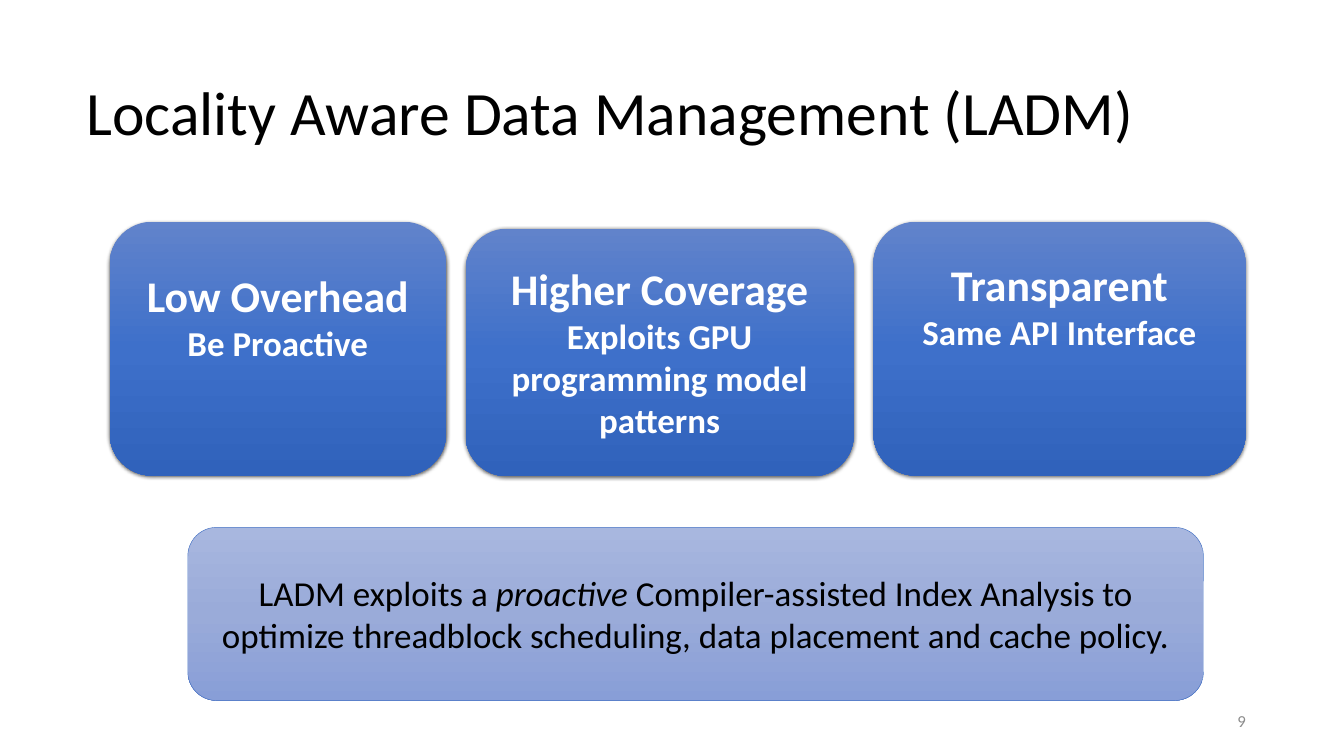
from lxml.etree import SubElement
from pptx import Presentation
from pptx.dml.color import RGBColor
from pptx.enum.shapes import MSO_SHAPE
from pptx.enum.text import MSO_ANCHOR, PP_ALIGN
from pptx.oxml.ns import qn
from pptx.util import Inches, Pt

FONT = "Calibri"
COLORS = {
    "text": "000000",
    "white": "FFFFFF",
    "gray": "8C8C8C",
    "edge": "4472C4",
    "shade": "000000",
}
CARD_FILL = ["6183CB", "3E70CA", "3062BB"]
NOTE_FILL = ["A8B7DF", "9AABD9", "889ED7"]

# Left, top, width, height, top inset, heading, detail
CARDS = [
    (1.74, 3.52, 5.34, 4.03, 0.55, "Low Overhead", "Be Proactive"),
    (7.39, 3.63, 6.16, 3.93, 0.34, "Higher Coverage",
     "Exploits GPU programming model patterns"),
    (13.86, 3.52, 5.91, 4.03, 0.38, "Transparent", "Same API Interface"),
]


def style(para, size, color, align=PP_ALIGN.CENTER, bold=False):
    para.alignment = align
    font = para.font
    font.name, font.size, font.bold = FONT, Pt(size), bold
    font.color.rgb = RGBColor.from_string(COLORS[color])


def add_label(slide, box, text, size, color, align):
    """Place one line of text, centred vertically in its box."""
    label = slide.shapes.add_textbox(*map(Inches, box))
    frame = label.text_frame
    frame.word_wrap = True
    frame.vertical_anchor = MSO_ANCHOR.MIDDLE
    para = frame.paragraphs[0]
    para.text = text
    style(para, size, color, align)
    return para


def add_panel(slide, box, fill):
    """Place a rounded panel with an even three-stop fill, top to bottom."""
    panel = slide.shapes.add_shape(MSO_SHAPE.ROUNDED_RECTANGLE, *map(Inches, box))
    panel.shadow.inherit = False
    panel.fill.gradient()
    panel.fill.gradient_angle = 270
    stops = panel._element.spPr.find(".//" + qn("a:gsLst"))
    for stop in list(stops):
        stops.remove(stop)
    for i, color in enumerate(fill):
        stop = SubElement(stops, qn("a:gs"), pos=str(i * 50000))
        SubElement(stop, qn("a:srgbClr"), val=color)
    panel.text_frame.word_wrap = True
    return panel


def add_shadow(shape):
    effects = shape._element.spPr.find(qn("a:effectLst"))
    shadow = SubElement(effects, qn("a:outerShdw"), blurRad=str(Pt(4.5)),
                        dist=str(Pt(1.5)), dir="5400000", rotWithShape="0")
    color = SubElement(shadow, qn("a:srgbClr"), val=COLORS["shade"])
    SubElement(color, qn("a:alpha"), val="63000")


def add_card(slide, box, inset, head, detail):
    card = add_panel(slide, box, CARD_FILL)
    card.line.fill.background()
    add_shadow(card)
    frame = card.text_frame
    frame.vertical_anchor = MSO_ANCHOR.TOP
    frame.margin_top = Inches(inset)
    frame.text = f"{head}\n{detail}"
    for para, size in zip(frame.paragraphs, (50, 39.9)):
        style(para, size, "white", bold=True)


def add_note(slide, box):
    note = add_panel(slide, box, NOTE_FILL)
    note.line.color.rgb = RGBColor.from_string(COLORS["edge"])
    note.line.width = Pt(0.5)
    frame = note.text_frame
    frame.vertical_anchor = MSO_ANCHOR.MIDDLE
    para = frame.paragraphs[0]
    style(para, 40, "text")
    para.add_run().text = "LADM exploits a "
    stress = para.add_run()
    stress.text = "proactive"
    stress.font.italic = True
    para.add_run().text = (" Compiler-assisted Index Analysis to optimize "
                           "threadblock scheduling, data placement and cache policy.")


def main():
    deck = Presentation()
    deck.slide_width, deck.slide_height = Inches(21.33), Inches(12)
    slide = deck.slides.add_slide(deck.slide_layouts[6])

    # Title and page number
    title = add_label(slide, (1.27, 0.67, 18.4, 2.32),
                      "Locality Aware Data Management (LADM)", 70.4, "text", PP_ALIGN.LEFT)
    title.line_spacing = 0.9
    add_label(slide, (15.07, 11.12, 4.8, 0.64), "9", 19.2, "gray", PP_ALIGN.RIGHT)

    # Three benefits, then the summary
    for *box, inset, head, detail in CARDS:
        add_card(slide, box, inset, head, detail)
    add_note(slide, (2.98, 8.37, 16.12, 2.75))

    deck.save("out.pptx")


if __name__ == "__main__":
    main()
